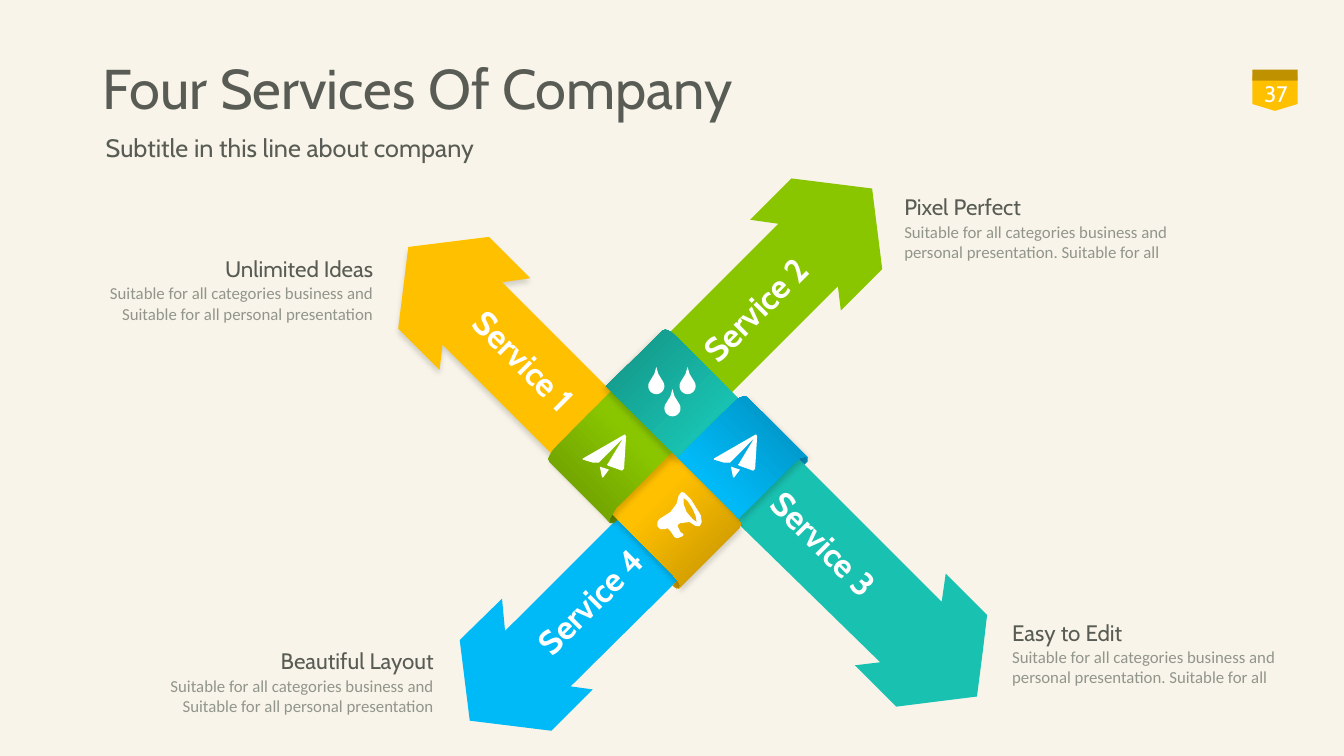
from math import cos, radians, sin

from lxml import etree
from pptx import Presentation
from pptx.dml.color import RGBColor
from pptx.enum.shapes import MSO_SHAPE as SHAPE
from pptx.enum.text import MSO_ANCHOR as ANCHOR, PP_ALIGN as ALIGN
from pptx.oxml.ns import qn

PX = 9144
LEFT, CENTER, RIGHT = ALIGN.LEFT, ALIGN.CENTER, ALIGN.RIGHT
INK, MUTED, WHITE = "595C54", "91958B", "FFFFFF"
YELLOW, OCHRE = "FFC000", "BF9000"
GREEN, MOSS = "89C600", "679400"
TEAL, PINE = "19C1B0", "139184"
BLUE, NAVY = "00BAF7", "008BB9"
rgb = RGBColor.from_string

prs = Presentation()
prs.slide_width, prs.slide_height = 1333 * PX, 750 * PX
s = prs.slides.add_slide(prs.slide_layouts[6])
s.background.fill.solid()
s.background.fill.fore_color.rgb = rgb("F8F4E9")


def add_outline(contours, color):
    scaled = [[(x * PX, y * PX) for x, y in c] for c in contours]
    fb = s.shapes.build_freeform(*scaled[0][0], scale=1.0)
    fb.add_line_segments(scaled[0][1:], close=True)
    for c in scaled[1:]:
        fb.move_to(*c[0])
        fb.add_line_segments(c[1:], close=True)
    sp = fb.convert_to_shape()
    sp.shadow.inherit = False
    sp.fill.solid()
    sp.fill.fore_color.rgb = rgb(color)
    sp.line.fill.background()
    return sp


def add_text(text, box, size, color, align=LEFT, font="Cabin", bold=False, rotation=0):
    tb = s.shapes.add_textbox(*[v * PX for v in box])
    tb.rotation = rotation
    tf = tb.text_frame
    tf.word_wrap = True
    p = tf.paragraphs[0]
    p.text = text
    p.alignment = align
    f = p.runs[0].font
    f.size, f.name, f.bold = size * 12700, font, bold
    f.color.rgb = rgb(color)
    return tf


for kind, box, color in [
    (SHAPE.FLOWCHART_OFFPAGE_CONNECTOR, (1242, 76, 45, 34), YELLOW),
    (SHAPE.RECTANGLE, (1242, 69, 45, 11), OCHRE),
]:
    sp = s.shapes.add_shape(kind, *[v * PX for v in box])
    sp.shadow.inherit = False
    sp.fill.solid()
    sp.fill.fore_color.rgb = rgb(color)
    sp.line.fill.background()

arrow_3 = [(979, 610), (938, 569), (934, 597), (726, 389), (660, 449), (873, 657),
           (848, 660), (889, 701), (969, 691), (975, 644)]
arrow_4 = [(667, 570), (612, 515), (501, 626), (498, 594), (456, 635), (466, 715),
           (547, 725), (588, 684), (566, 681), (672, 576)]
fold_green = [(598, 511), (599, 502), (613, 515), (609, 519), (605, 519)]
fold_blue = [(801, 454), (801, 458), (798, 461), (784, 447), (793, 446)]
fold_yellow = [(674, 583), (671, 584), (667, 581), (680, 567), (681, 576)]
arrow_1 = [(727, 509), (498, 280), (526, 276), (485, 235), (405, 245), (395, 326),
           (436, 367), (439, 342), (667, 570), (673, 577), (675, 581), (673, 584),
           (707, 550), (733, 524), (735, 520), (732, 515)]
band_green = [(606, 388), (551, 444), (547, 449), (544, 455), (545, 458), (571, 484),
              (605, 518), (605, 514), (611, 504), (666, 449)]
arrow_2 = [(875, 267), (865, 187), (785, 177), (744, 218), (772, 222), (606, 388),
           (666, 449), (831, 284), (834, 308)]
band_teal = [(606, 388), (674, 456), (733, 396), (671, 334), (665, 329), (660, 327),
             (657, 328), (631, 354), (601, 383)]
band_blue = [(767, 420), (741, 394), (738, 393), (733, 395), (727, 400), (672, 454),
             (727, 509), (732, 515), (787, 460), (794, 454), (799, 453), (801, 454)]

for points, color, *shade in [
    (arrow_3, TEAL),
    (arrow_4, BLUE),
    (fold_green, MOSS),
    (fold_blue, NAVY),
    (fold_yellow, OCHRE),
    (arrow_1, YELLOW, OCHRE, 75, 45, 90),
    (band_green, GREEN, MOSS, 33, 135, 45),
    (arrow_2, GREEN),
    (band_teal, TEAL, PINE, 25, 225, 135),
    (band_blue, BLUE, NAVY, 27, 315, 45),
]:
    sp = add_outline([points], color)
    if shade:
        dark, start, angle, shadow_angle = shade
        sp.fill.gradient()
        sp.fill.gradient_angle = 360 - angle
        for stop, tone, pos in zip(sp.fill.gradient_stops, (color, dark), (start / 100, 1)):
            stop.color.rgb = rgb(tone)
            stop.position = pos
        effects = sp._element.spPr.find(qn("a:effectLst"))
        shadow = etree.SubElement(effects, qn("a:outerShdw"), blurRad="50800", dist="38100",
                                  dir=str(shadow_angle * 60000), algn="t", rotWithShape="0")
        tone = etree.SubElement(shadow, qn("a:srgbClr"), val="000000")
        etree.SubElement(tone, qn("a:alpha"), val="15000")

wings = [(748, 432), (708, 455), (708, 456), (718, 459), (724, 459), (748, 435), (733, 460),
         (732, 461), (733, 462), (747, 467), (749, 465), (751, 433), (750, 431)]
tail = [(727, 473), (728, 474), (734, 466), (725, 463)]
for dx in (0, -130):
    add_outline([[(x + dx, y) for x, y in c] for c in (wings, tail)], WHITE)

horn = [(690, 503), (685, 495), (679, 489), (676, 488), (673, 492), (671, 500), (665, 508),
        (654, 515), (652, 518), (652, 522), (655, 525), (660, 525), (662, 524), (665, 527),
        (669, 533), (672, 534), (677, 532), (678, 530), (675, 528), (672, 522), (673, 520),
        (675, 519), (684, 518), (690, 522), (694, 522), (696, 518), (695, 511)]
mouth = [(691, 518), (687, 515), (681, 508), (678, 500), (678, 494), (682, 497),
         (687, 505), (690, 512)]
add_outline([horn, mouth], WHITE)

drops = []
for x, y in [(651, 364), (682, 364), (667, 386)]:
    bowl = [(x + 8 * cos(radians(a)), y + 19 + 8 * sin(radians(a))) for a in range(-30, 211, 15)]
    drops.append([(x, y), (x + 2, y + 7), *bowl, (x - 2, y + 7)])
add_outline(drops, WHITE)

tf = add_text("Four Services Of Company", (92, 45, 1150, 91), 40, INK)
tf.vertical_anchor = ANCHOR.MIDDLE
tf.paragraphs[0].line_spacing = 0.9
tf = add_text("37", (1221, 73, 89, 40), 16, WHITE, CENTER)
tf.vertical_anchor = ANCHOR.MIDDLE
add_text("Subtitle in this line about company", (95, 126, 578, 40), 18, INK)

for label, x, y, rotation, align in [
    ("Service 1", 376, 303, 45, RIGHT),
    ("Service 3", 731, 542, 45, LEFT),
    ("Service 4", 444, 599, 315, RIGHT),
    ("Service 2", 663, 254, 315, LEFT),
]:
    add_text(label, (x, y, 228, 50), 24, WHITE, align, bold=True, rotation=rotation)

left_body = "Suitable for all categories business and Suitable for all personal presentation"
right_body = "Suitable for all categories business and personal presentation. Suitable for all"
for heading, x, y, w, body, body_x, body_w, align in [
    ("Unlimited Ideas", 190, 248, 190, left_body, 92, 288, RIGHT),
    ("Beautiful Layout", 250, 637, 190, left_body, 122, 318, RIGHT),
    ("Pixel Perfect", 887, 187, 145, right_body, 887, 321, LEFT),
    ("Easy to Edit", 994, 609, 145, right_body, 994, 323, LEFT),
]:
    add_text(heading, (x, y, w, 37), 16, INK, align)
    add_text(body, (body_x, y + 28, body_w, 50), 12, MUTED, align, "Calibri")

prs.save("out.pptx")
